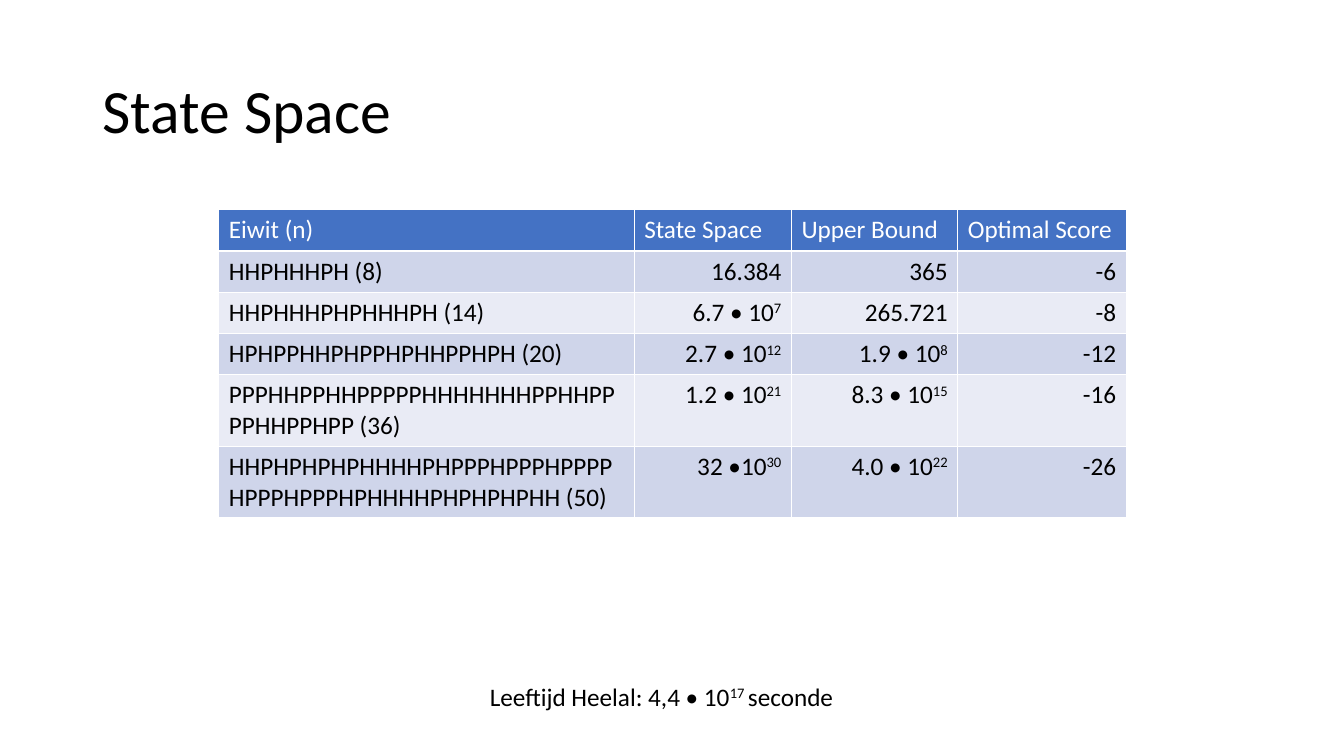
from pptx import Presentation
from pptx.dml.color import RGBColor as Rgb
from pptx.enum.text import MSO_ANCHOR as Anchor, MSO_AUTO_SIZE as AutoSize, PP_ALIGN as Align
from pptx.util import Inches, Pt

COLOURS = {"white": "FFFFFF", "black": "000000", "header": "4472C4",
           "odd": "CFD5EA", "even": "E9EBF5"}
COLUMN_WIDTHS = [4.12, 1.56, 1.65, 1.67]
ROW_HEIGHTS = [0.41] * 4 + [0.71] * 2

# A caret switches superscript on and off
ROWS = [
    ["Eiwit (n)", "State Space", "Upper Bound", "Optimal Score"],
    ["HHPHHHPH (8)", "16.384", "365", "-6"],
    ["HHPHHHPHPHHHPH (14)", "6.7 • 10^7", "265.721", "-8"],
    ["HPHPPHHPHPPHPHHPPHPH (20)", "2.7 • 10^12", "1.9 • 10^8", "-12"],
    ["PPPHHPPHHPPPPPHHHHHHHPPHHPPPPHHPPHPP (36)", "1.2 • 10^21", "8.3 • 10^15", "-16"],
    ["HHPHPHPHPHHHHPHPPPHPPPHPPPPHPPPHPPPHPHHHHPHPHPHPHH (50)",
     "32 •10^30", "4.0 • 10^22", "-26"],
]


def write(para, text, size=18, colour="black"):
    style = {"name": "Calibri", "size": Pt(size), "bold": False}
    for index, part in enumerate(text.split("^")):
        span = para.add_run()
        span.text = part
        for name, value in style.items():
            setattr(span.font, name, value)
        span.font.color.rgb = Rgb.from_string(COLOURS[colour])
        if index % 2:
            span.font._element.set("baseline", "30000")


deck = Presentation()
deck.slide_width, deck.slide_height = Inches(13.33), Inches(7.5)
page = deck.slides.add_slide(deck.slide_layouts[6])

# Title
title = page.shapes.add_textbox(Inches(0.92), Inches(0.4), Inches(11.5), Inches(1.45))
title.text_frame.word_wrap = True
title.text_frame.vertical_anchor = Anchor.MIDDLE
title_para = title.text_frame.paragraphs[0]
title_para.line_spacing = 0.9
write(title_para, "State Space", 44)

# Table of proteins
table = page.shapes.add_table(
    len(ROWS), len(COLUMN_WIDTHS), Inches(2.17), Inches(2.08),
    Inches(sum(COLUMN_WIDTHS)), Inches(sum(ROW_HEIGHTS))).table
for column, width in zip(table.columns, COLUMN_WIDTHS):
    column.width = Inches(width)
for row, height in zip(table.rows, ROW_HEIGHTS):
    row.height = Inches(height)

for r, values in enumerate(ROWS):
    band = "header" if r == 0 else "odd" if r % 2 else "even"
    for c, value in enumerate(values):
        cell = table.cell(r, c)
        cell.fill.solid()
        cell.fill.fore_color.rgb = Rgb.from_string(COLOURS[band])
        para = cell.text_frame.paragraphs[0]
        para.alignment = Align.RIGHT if r and c else Align.LEFT
        write(para, value, colour="black" if r else "white")

# Age of the universe
note = page.shapes.add_textbox(Inches(4.76), Inches(6.71), Inches(3.82), Inches(0.4))
note.text_frame.word_wrap = False
note.text_frame.auto_size = AutoSize.SHAPE_TO_FIT_TEXT
write(note.text_frame.paragraphs[0], "Leeftijd Heelal: 4,4 • 10^17 ^seconde")

deck.save("out.pptx")
